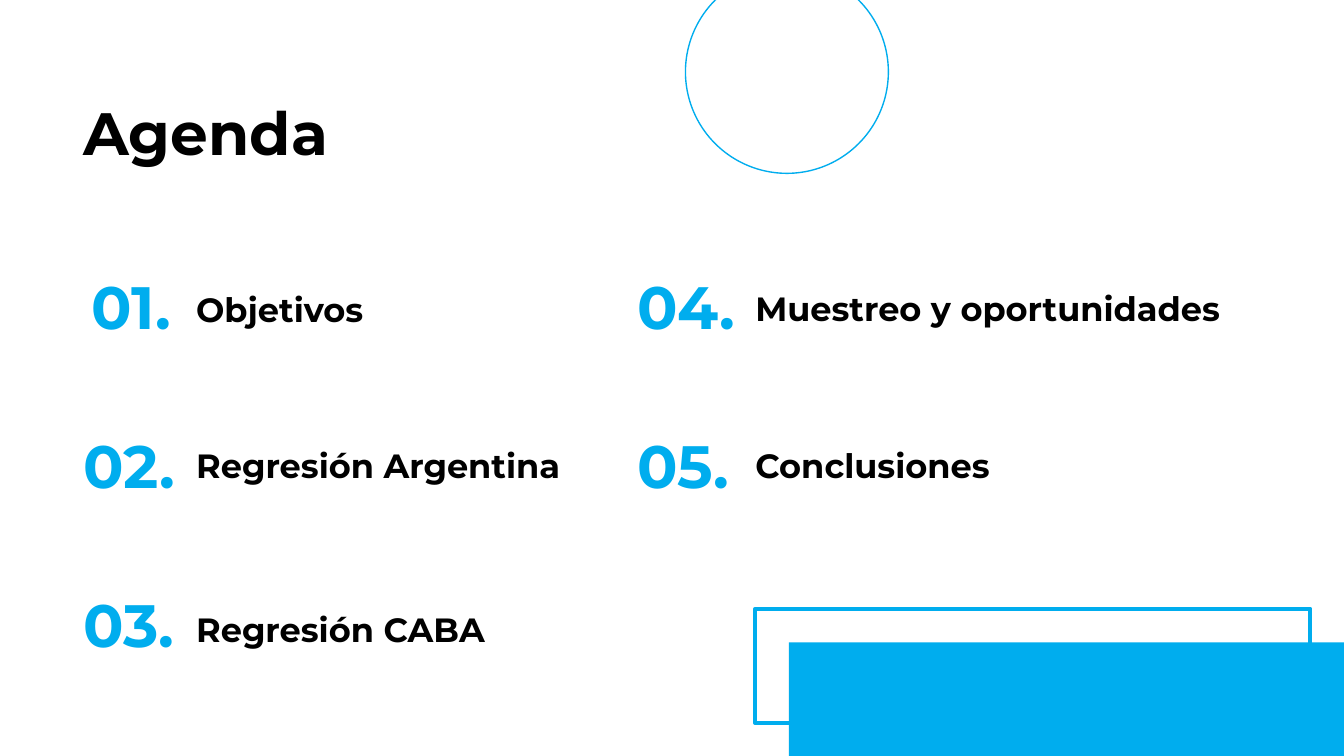
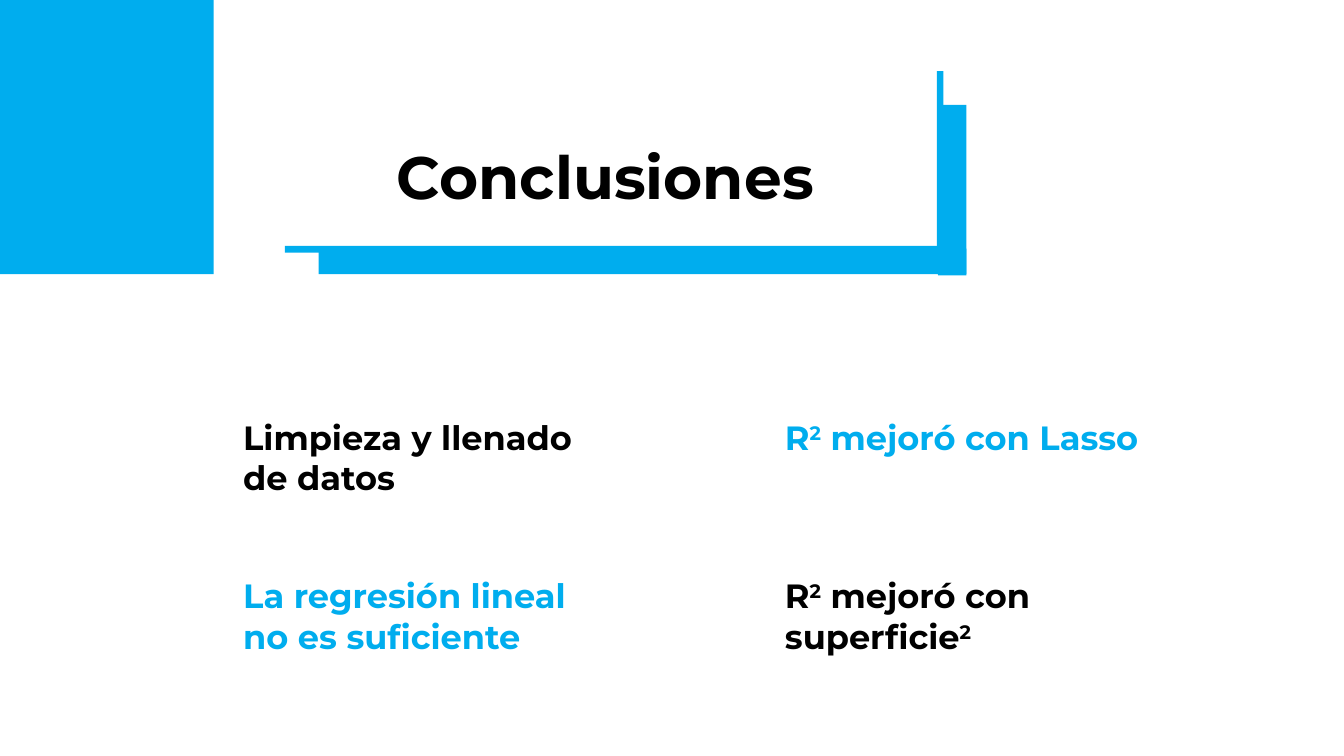
from pptx import Presentation
from pptx.dml.color import RGBColor
from pptx.enum.shapes import MSO_SHAPE
from pptx.enum.text import MSO_ANCHOR, MSO_AUTO_SIZE, PP_ALIGN
from pptx.util import Inches, Pt

SLIDE_WIDTH = Inches(10)
SLIDE_HEIGHT = Inches(5.625)
COLUMN = SLIDE_WIDTH / 100
ROW = SLIDE_HEIGHT / 56.25
TITLE_ONLY = 5

BLUE = RGBColor(0x00, 0xAD, 0xEE)
BLACK = RGBColor(0x00, 0x00, 0x00)
WHITE = RGBColor(0xFF, 0xFF, 0xFF)

FRAME_FORMAT = {
    "margin_left": 0,
    "margin_top": 0,
    "margin_right": 0,
    "margin_bottom": 0,
    "word_wrap": True,
    "auto_size": MSO_AUTO_SIZE.NONE,
    "vertical_anchor": MSO_ANCHOR.TOP,
}
HEADING_FONT = {"name": "Montserrat", "size": Pt(32), "bold": True}
BODY_FONT = {"name": "Montserrat", "size": Pt(18), "bold": True}

AGENDA_FIRST_ROW = 20.1
AGENDA_ROW_STEP = 11.8
AGENDA = [
    ("01.", "Objetivos", 6.8, 0, 14.6, 21.5, 24.6),
    ("02.", "Regresión Argentina", 6.2, 1, 14.6, 33.1, 28.9),
    ("03.", "Regresión CABA", 6.2, 2, 14.6, 45.3, 24.6),
    ("04.", "Muestreo y oportunidades", 47.4, 0, 56.2, 21.4, 35.6),
    ("05.", "Conclusiones", 47.4, 1, 56.2, 33.1, 24.6),
]

CONCLUSION_COLUMNS = (18.1, 58.4)
CONCLUSION_ROWS = (31, 42.8)
CONCLUSIONS = [
    (("Limpieza y llenado de datos", 28.3, BLACK), ("R|2| mejoró con Lasso", 27.7, BLUE)),
    (
        ("La regresión lineal no es suficiente", 24.6, BLUE),
        ("R|2| mejoró con superficie|2", 29.1, BLACK),
    ),
]

TITLE_FRAME_BARS = [
    ((21.2, 18.3, 49, 0.5), 0),
    ((23.7, 18.5, 48.2, 1.9), 0),
    ((62.4, 12.6, 15.1, 0.5), 90),
    ((69.8, 7.8, 2.1, 12.7), 0),
]


def apply_format(target, values):
    for name, value in values.items():
        setattr(target, name, value)


def grid_box(left, top, width, height):
    return (
        round(left * COLUMN),
        round(top * ROW),
        round(width * COLUMN),
        round(height * ROW),
    )


def write_text(shape, text, font_format, color, alignment=PP_ALIGN.LEFT):
    apply_format(shape.text_frame, FRAME_FORMAT)
    paragraph = shape.text_frame.paragraphs[0]
    paragraph.alignment = alignment
    for index, part in enumerate(text.split("|")):
        run = paragraph.add_run()
        run.text = part
        apply_format(run.font, font_format)
        run.font.color.rgb = color
        if index % 2:
            run._r.get_or_add_rPr().set("baseline", "30000")


def add_text(slide, box, text, font_format, color):
    shape = slide.shapes.add_textbox(*grid_box(*box))
    write_text(shape, text, font_format, color)


def add_titled_slide(presentation, title, box, alignment=PP_ALIGN.LEFT):
    slide = presentation.slides.add_slide(presentation.slide_layouts[TITLE_ONLY])
    slide.background.fill.solid()
    slide.background.fill.fore_color.rgb = WHITE
    placeholder = slide.shapes.title
    apply_format(placeholder, dict(zip(("left", "top", "width", "height"), grid_box(*box))))
    write_text(placeholder, title, HEADING_FONT, BLACK, alignment)
    return slide


def add_solid(shapes, box, rotation=0):
    shape = shapes.add_shape(MSO_SHAPE.RECTANGLE, *grid_box(*box))
    shape.shadow.inherit = False
    shape.fill.solid()
    shape.fill.fore_color.rgb = BLUE
    shape.line.fill.background()
    shape.rotation = rotation


def add_outline(shapes, kind, box, line_width):
    shape = shapes.add_shape(kind, *grid_box(*box))
    shape.shadow.inherit = False
    shape.fill.background()
    shape.line.color.rgb = BLUE
    shape.line.width = Pt(line_width)


def build_agenda(presentation):
    slide = add_titled_slide(presentation, "Agenda", (6.2, 7.1, 46.9, 5))
    add_outline(slide.shapes, MSO_SHAPE.RECTANGLE, (56.2, 45.3, 41.3, 8.5), 2.25)
    add_solid(slide.shapes, (58.7, 47.8, 41.3, 8.45))
    add_outline(slide.shapes, MSO_SHAPE.OVAL, (51, -2.2, 15.1, 15.1), 0.75)
    for number, label, number_left, row, label_left, label_top, label_width in AGENDA:
        number_top = AGENDA_FIRST_ROW + row * AGENDA_ROW_STEP
        add_text(slide, (number_left, number_top, 8, 5), number, HEADING_FONT, BLUE)
        add_text(slide, (label_left, label_top, label_width, 3.6), label, BODY_FONT, BLACK)


def build_conclusions(presentation):
    slide = add_titled_slide(
        presentation, "Conclusiones", (17.2, 10.4, 55.7, 5), PP_ALIGN.CENTER
    )
    add_solid(slide.shapes, (0, 0, 15.9, 20.4))
    title_frame = slide.shapes.add_group_shape()
    for box, rotation in TITLE_FRAME_BARS:
        add_solid(title_frame.shapes, box, rotation)
    for top, row in zip(CONCLUSION_ROWS, CONCLUSIONS):
        for left, (text, width, color) in zip(CONCLUSION_COLUMNS, row):
            add_text(slide, (left, top, width, 5.7), text, BODY_FONT, color)


def main():
    presentation = Presentation()
    presentation.slide_width = SLIDE_WIDTH
    presentation.slide_height = SLIDE_HEIGHT
    build_agenda(presentation)
    build_conclusions(presentation)
    presentation.save("out.pptx")


if __name__ == "__main__":
    main()
